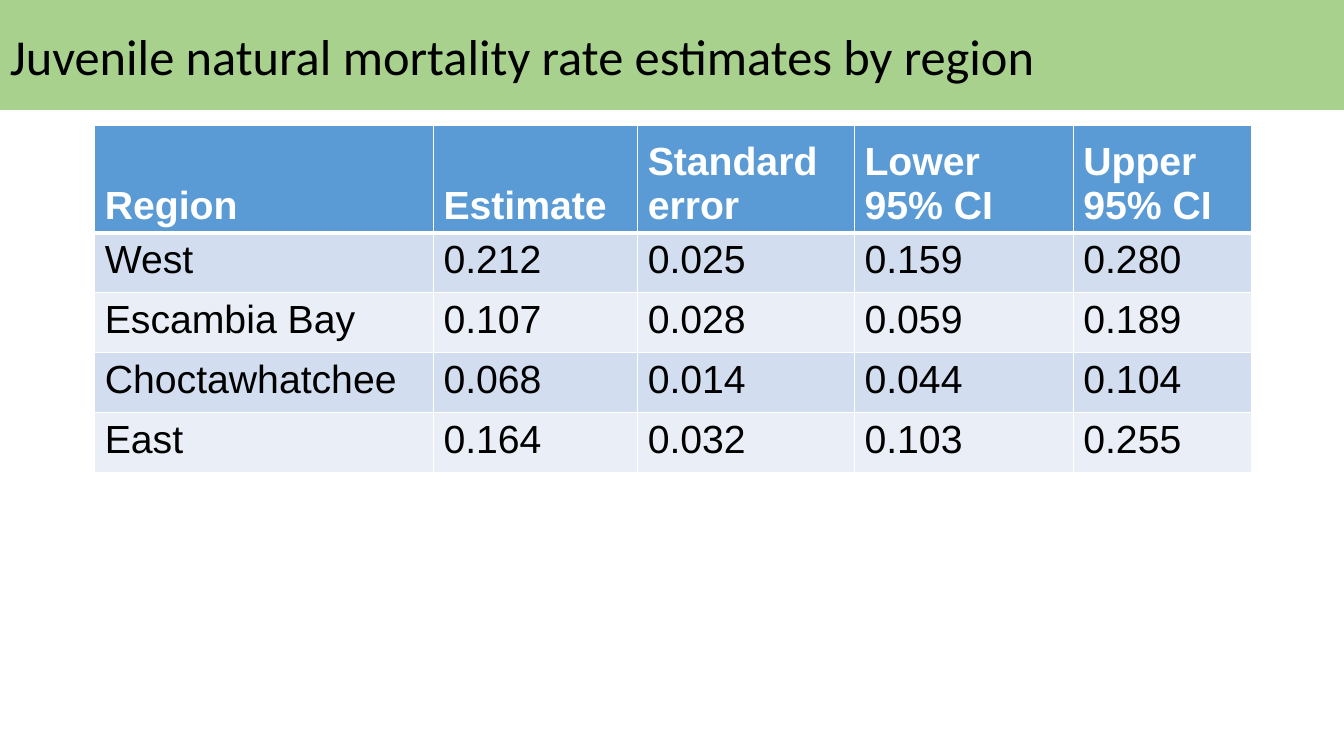
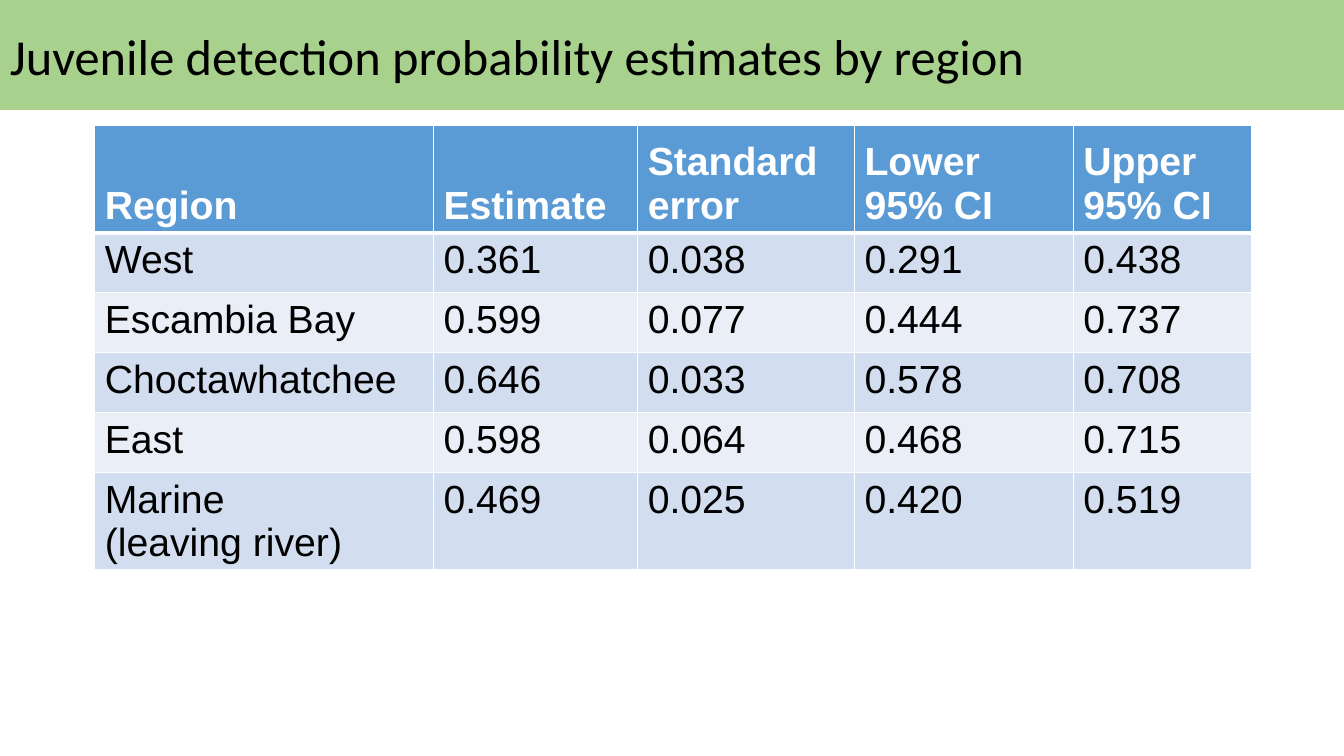
from dataclasses import dataclass

from lxml.etree import SubElement
from pptx import Presentation
from pptx.dml.color import RGBColor as RGB
from pptx.enum.shapes import MSO_SHAPE as Shape
from pptx.enum.text import MSO_ANCHOR as Anchor, PP_ALIGN as Align
from pptx.oxml.ns import qn
from pptx.slide import Slide
from pptx.table import _Cell as Cell
from pptx.text.text import TextFrame
from pptx.util import Emu, Inches, Pt


@dataclass(frozen=True)
class Theme:
    title_font: str = "Calibri"
    table_font: str = "Arial"
    title_size: int = 36
    table_size: int = 28
    text: str = "000000"
    header_text: str = "FFFFFF"
    title_band: str = "A9D18E"
    header_fill: str = "5B9BD5"
    stripes: tuple[str, str] = ("D2DEEF", "EAEFF7")
    rule: str = "FFFFFF"
    thin: int = 1
    thick: int = 3


@dataclass(frozen=True)
class EstimateSlide:
    title: str
    rows: tuple[tuple[str, ...], ...]


THEME = Theme()
WIDTH, HEIGHT = Inches(13.33), Inches(7.5)

# Percentages of the slide's width or height
BAND_HEIGHT = 14.53
TABLE_LEFT, TABLE_TOP = 7.05, 16.53
COLUMNS = (25.2, 15.2, 16.13, 16.28, 13.28)
HEADER_HEIGHT, ROW_HEIGHT = 14.27, 7.93

HEADERS = ("Region", "Estimate", "Standard error", "Lower 95% CI", "Upper 95% CI")
SLIDES = (
    EstimateSlide("Juvenile natural mortality rate estimates by region", (
        ("West", "0.212", "0.025", "0.159", "0.280"),
        ("Escambia Bay", "0.107", "0.028", "0.059", "0.189"),
        ("Choctawhatchee", "0.068", "0.014", "0.044", "0.104"),
        ("East", "0.164", "0.032", "0.103", "0.255"),
    )),
    EstimateSlide("Juvenile detection probability estimates by region", (
        ("West", "0.361", "0.038", "0.291", "0.438"),
        ("Escambia Bay", "0.599", "0.077", "0.444", "0.737"),
        ("Choctawhatchee", "0.646", "0.033", "0.578", "0.708"),
        ("East", "0.598", "0.064", "0.468", "0.715"),
        ("Marine\v(leaving river)", "0.469", "0.025", "0.420", "0.519"),
    )),
)


def across(percent: float) -> Emu:
    return Emu(round(WIDTH * percent / 100))


def down(percent: float) -> Emu:
    return Emu(round(HEIGHT * percent / 100))


def set_text(tf: TextFrame, text: str, font: str, size: int, color: str,
             bold: bool = False) -> None:
    p = tf.paragraphs[0]
    p.text = text
    p.alignment = Align.LEFT
    for r in p.runs:
        r.font.name, r.font.size, r.font.bold = font, Pt(size), bold
        r.font.color.rgb = RGB.from_string(color)


def add_title_band(s: Slide, title: str) -> None:
    sp = s.shapes.add_shape(Shape.RECTANGLE, 0, 0, WIDTH, down(BAND_HEIGHT))
    sp.shadow.inherit = False
    sp.fill.solid()
    sp.fill.fore_color.rgb = RGB.from_string(THEME.title_band)
    sp.line.fill.background()
    sp.text_frame.word_wrap = True
    sp.text_frame.vertical_anchor = Anchor.MIDDLE
    set_text(sp.text_frame, title, THEME.title_font, THEME.title_size, THEME.text)


def set_borders(cell: Cell, top: int, bottom: int) -> None:
    """Rule all four sides; call before the fill, which must follow the borders."""
    tc_pr = cell._tc.get_or_add_tcPr()
    for side, width in (("L", THEME.thin), ("R", THEME.thin), ("T", top), ("B", bottom)):
        ln = SubElement(tc_pr, qn(f"a:ln{side}"), w=str(Pt(width)))
        fill = SubElement(ln, qn("a:solidFill"))
        SubElement(fill, qn("a:srgbClr"), val=THEME.rule)


def style_cell(cell: Cell, text: str, row: int) -> None:
    is_header = row == 0
    set_borders(cell, top=THEME.thick if row == 1 else THEME.thin,
                bottom=THEME.thick if is_header else THEME.thin)
    cell.fill.solid()
    fill = THEME.header_fill if is_header else THEME.stripes[(row - 1) % 2]
    cell.fill.fore_color.rgb = RGB.from_string(fill)
    cell.vertical_anchor = Anchor.BOTTOM if is_header else Anchor.TOP
    color = THEME.header_text if is_header else THEME.text
    set_text(cell.text_frame, text, THEME.table_font, THEME.table_size, color, is_header)


def add_estimate_table(s: Slide, rows: tuple[tuple[str, ...], ...]) -> None:
    heights = (HEADER_HEIGHT, *(ROW_HEIGHT for _ in rows))
    table = s.shapes.add_table(
        len(heights), len(COLUMNS), across(TABLE_LEFT), down(TABLE_TOP),
        across(sum(COLUMNS)), down(sum(heights))).table
    for column, width in zip(table.columns, COLUMNS):
        column.width = across(width)
    for i, (height, texts) in enumerate(zip(heights, (HEADERS, *rows))):
        table.rows[i].height = down(height)
        for j, text in enumerate(texts):
            style_cell(table.cell(i, j), text, i)


def main() -> None:
    prs = Presentation()
    prs.slide_width, prs.slide_height = WIDTH, HEIGHT
    blank = prs.slide_layouts[6]
    for content in SLIDES:
        s = prs.slides.add_slide(blank)
        add_title_band(s, content.title)
        add_estimate_table(s, content.rows)
    prs.save("out.pptx")


if __name__ == "__main__":
    main()
